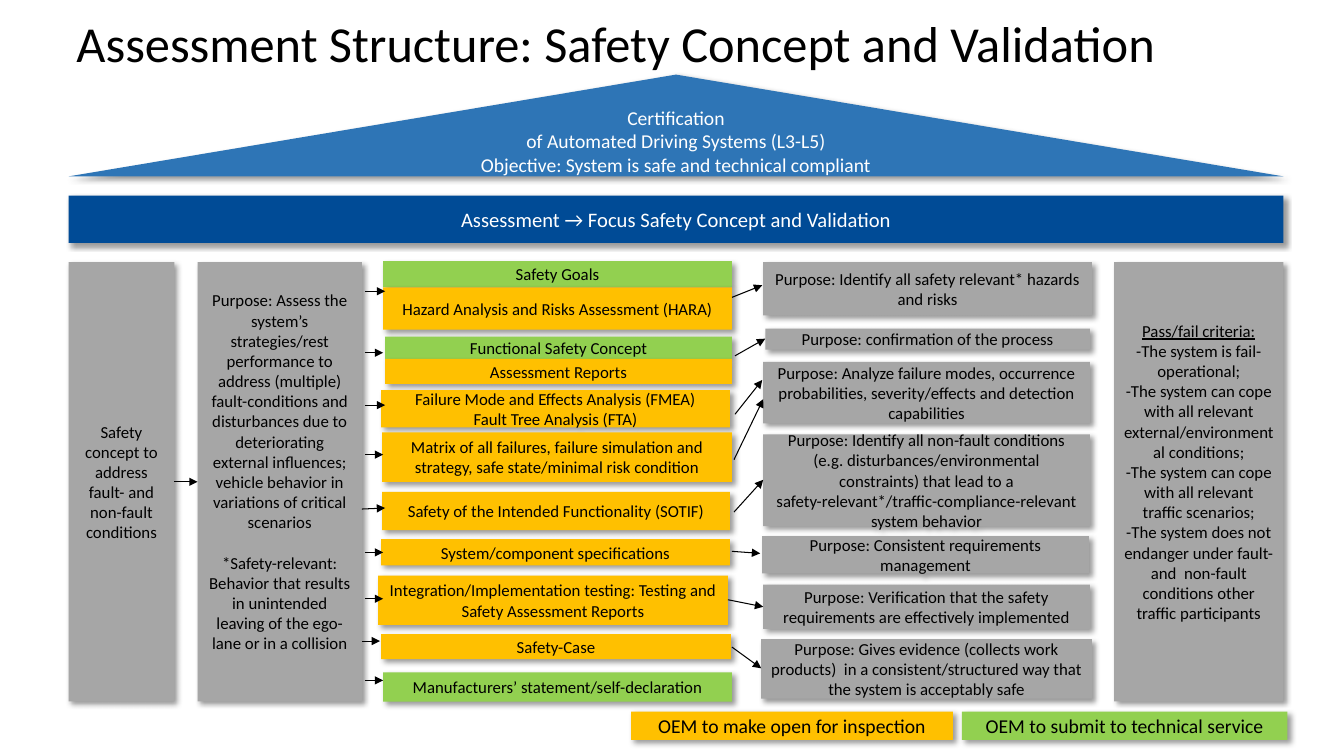
from lxml.etree import SubElement
from pptx import Presentation
from pptx.dml.color import RGBColor
from pptx.enum.shapes import MSO_CONNECTOR, MSO_SHAPE
from pptx.enum.text import MSO_ANCHOR, PP_ALIGN
from pptx.oxml import parse_xml
from pptx.oxml.ns import nsdecls, qn
from pptx.util import Inches, Pt

BLACK, WHITE, GRAY = "000000", "FFFFFF", "A6A6A6"
ROOF_BLUE, BAR_BLUE = "2E75B6", "004B96"
INSPECT, SUBMIT = "FFC000", "92D050"
SHADOW = (
    f'<a:effectLst {nsdecls("a")}><a:outerShdw blurRad="50800" dist="38100" '
    'dir="2700000" algn="tl" rotWithShape="0"><a:srgbClr val="000000">'
    '<a:alpha val="40000"/></a:srgbClr></a:outerShdw></a:effectLst>'
)


def rgb(value):
    return RGBColor.from_string(value)


class Diagram:
    """Holds the style and the current slide."""

    font = "Calibri"

    def __init__(self, slide):
        self.slide = slide

    def fill_text(self, frame, text, size, color, align):
        frame.word_wrap = True
        frame.vertical_anchor = MSO_ANCHOR.MIDDLE
        frame.text = text
        for paragraph in frame.paragraphs:
            paragraph.alignment = align
            paragraph.font.name = self.font
            paragraph.font.size = Pt(size)
            paragraph.font.color.rgb = rgb(color)

    def title(self, x, y, w, h, text):
        box = self.slide.shapes.add_textbox(Inches(x), Inches(y), Inches(w), Inches(h))
        self.fill_text(box.text_frame, text, 36, BLACK, PP_ALIGN.LEFT)
        box.text_frame.paragraphs[0].line_spacing = 0.9

    def box(self, x, y, w, h, fill, text, size=12, color=BLACK, kind=MSO_SHAPE.RECTANGLE):
        shape = self.slide.shapes.add_shape(kind, Inches(x), Inches(y), Inches(w), Inches(h))
        shape.fill.solid()
        shape.fill.fore_color.rgb = rgb(fill)
        shape.line.fill.background()
        shape.shadow.inherit = False
        properties = shape._element.spPr
        properties.replace(properties.find(qn("a:effectLst")), parse_xml(SHADOW))
        self.fill_text(shape.text_frame, text, size, color, PP_ALIGN.CENTER)
        return shape.text_frame

    def arrow(self, x1, y1, x2, y2):
        connector = self.slide.shapes.add_connector(
            MSO_CONNECTOR.STRAIGHT, Inches(x1), Inches(y1), Inches(x2), Inches(y2))
        connector.line.color.rgb = rgb(BLACK)
        connector.line.width = Pt(0.75)
        properties = connector._element.spPr
        SubElement(properties.find(qn("a:ln")), qn("a:tailEnd"), type="triangle")
        SubElement(properties, qn("a:effectLst"))


# Middle column: assessment documents
DOCUMENTS = [
    (3.8, 2.59, 3.46, 0.26, SUBMIT, "Safety Goals"),
    (3.8, 2.85, 3.46, 0.42, INSPECT, "Hazard Analysis and Risks Assessment (HARA)"),
    (3.82, 3.34, 3.44, 0.22, SUBMIT, "Functional Safety Concept"),
    (3.82, 3.56, 3.44, 0.25, INSPECT, "Assessment Reports"),
    (3.78, 3.87, 3.46, 0.37, INSPECT,
     "Failure Mode and Effects Analysis (FMEA)\vFault Tree Analysis (FTA)"),
    (3.79, 4.29, 3.47, 0.49, INSPECT,
     "Matrix of all failures, failure simulation and strategy, "
     "safe state/minimal risk condition"),
    (3.79, 4.88, 3.45, 0.38, INSPECT, "Safety of the Intended Functionality (SOTIF)"),
    (3.78, 5.35, 3.46, 0.26, INSPECT, "System/component specifications"),
    (3.75, 5.71, 3.47, 0.49, INSPECT,
     "Integration/Implementation testing: Testing and Safety Assessment Reports"),
    (3.78, 6.29, 3.47, 0.25, INSPECT, "Safety-Case"),
    (3.8, 6.67, 3.46, 0.29, SUBMIT, "Manufacturers’ statement/self-declaration"),
]

# Right column: purpose of each document
PURPOSES = [
    (7.57, 2.6, 3.26, 0.53, "Identify all safety relevant* hazards and risks"),
    (7.59, 3.26, 3.22, 0.21, "confirmation of the process"),
    (7.57, 3.59, 3.24, 0.61, "Analyze failure modes, occurrence probabilities, "
     "severity/effects and detection capabilities"),
    (7.57, 4.31, 3.24, 0.91, "Identify all non-fault conditions (e.g. "
     "disturbances/environmental constraints) that lead to a "
     "safety-relevant*/traffic-compliance-relevant system behavior"),
    (7.56, 5.32, 3.24, 0.37, "Consistent requirements management"),
    (7.57, 5.8, 3.24, 0.44,
     "Verification that the safety requirements are effectively implemented"),
    (7.55, 6.34, 3.28, 0.59, "Gives evidence (collects work products)  in a "
     "consistent/structured way that the system is acceptably safe"),
]

ARROWS = [
    # Concept to strategies
    (1.73, 4.78, 1.96, 4.78),
    # Strategies to documents
    (3.62, 2.89, 3.82, 2.89), (3.62, 3.5, 3.8, 3.5), (3.62, 4.02, 3.82, 4.02),
    (3.62, 4.51, 3.8, 4.51), (3.59, 5.05, 3.82, 5.04), (3.62, 5.48, 3.8, 5.48),
    (3.62, 5.94, 3.8, 5.94), (3.59, 6.36, 3.77, 6.36), (3.62, 6.75, 3.8, 6.75),
    # Documents to purposes
    (7.26, 2.95, 7.56, 2.83), (7.29, 3.53, 7.59, 3.36), (7.29, 4.11, 7.56, 3.77),
    (7.28, 4.56, 7.57, 3.96), (7.28, 5.08, 7.57, 4.76), (7.26, 5.47, 7.54, 5.49),
    (7.22, 5.95, 7.57, 6.02), (7.26, 6.42, 7.55, 6.63),
]


def main():
    deck = Presentation()
    deck.slide_width, deck.slide_height = Inches(13.33), Inches(7.5)
    diagram = Diagram(deck.slides.add_slide(deck.slide_layouts[6]))

    # Title, roof and focus bar
    diagram.title(0.66, 0.11, 11.5, 0.69, "Assessment Structure: Safety Concept and Validation")
    roof = diagram.box(
        0.68, 0.74, 12.05, 1.01, ROOF_BLUE,
        "Certification\vof Automated Driving Systems (L3-L5)\v"
        "Objective: System is safe and technical compliant",
        14, WHITE, MSO_SHAPE.ISOSCELES_TRIANGLE)
    roof.vertical_anchor = MSO_ANCHOR.BOTTOM
    roof.margin_bottom = 0
    diagram.box(0.68, 1.94, 12.05, 0.47, BAR_BLUE,
                "Assessment → Focus Safety Concept and Validation", 14.7, WHITE)

    # Tall pillars
    diagram.box(0.68, 2.6, 1.05, 4.36, GRAY,
                "Safety concept to address fault- and non-fault conditions")
    strategies = diagram.box(
        1.96, 2.6, 1.63, 4.36, GRAY,
        "Purpose: Assess the system’s strategies/rest performance to address (multiple) "
        "fault-conditions and disturbances due to deteriorating external influences; "
        "vehicle behavior in variations of critical scenarios\n"
        "*Safety-relevant: Behavior that results in unintended leaving of the ego-lane "
        "or in a collision")
    strategies.paragraphs[1].space_before = Pt(14.6)
    criteria = diagram.box(
        11.05, 2.6, 1.68, 4.36, GRAY,
        "Pass/fail criteria:\n-The system is fail-operational;\n"
        "-The system can cope with all relevant external/environmental conditions;\n"
        "-The system can cope with all relevant traffic scenarios;\n"
        "-The system does not endanger under fault- and  non-fault conditions "
        "other traffic participants")
    criteria.paragraphs[0].font.underline = True
    for pillar in (strategies, criteria):
        pillar.margin_bottom = Inches(0.25)

    # Documents, purposes and arrows
    for document in DOCUMENTS:
        diagram.box(*document)
    for x, y, w, h, purpose in PURPOSES:
        diagram.box(x, y, w, h, GRAY, f"Purpose: {purpose}")
    for ends in ARROWS:
        diagram.arrow(*ends)

    # Legend
    diagram.box(6.26, 7.06, 3.19, 0.28, INSPECT, "OEM to make open for inspection", 14)
    diagram.box(9.54, 7.06, 3.23, 0.28, SUBMIT, "OEM to submit to technical service", 14)

    deck.save("out.pptx")


if __name__ == "__main__":
    main()
